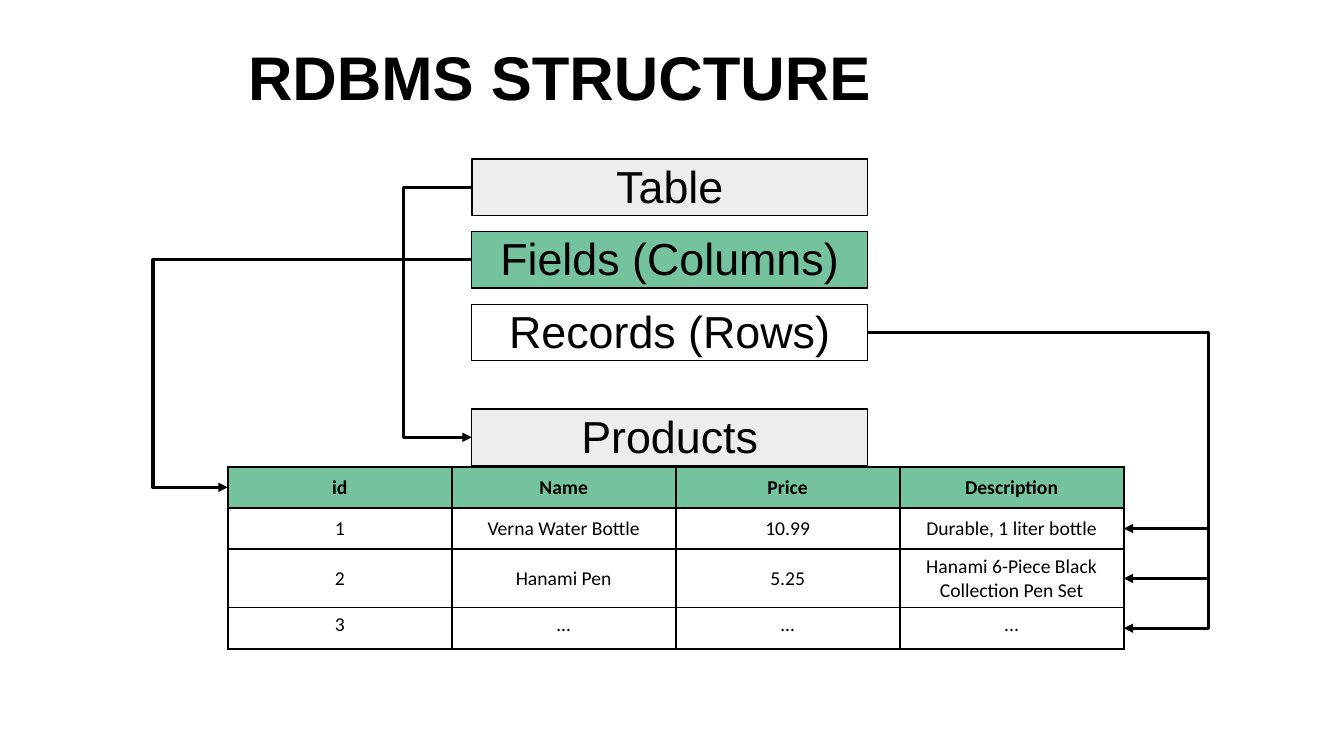
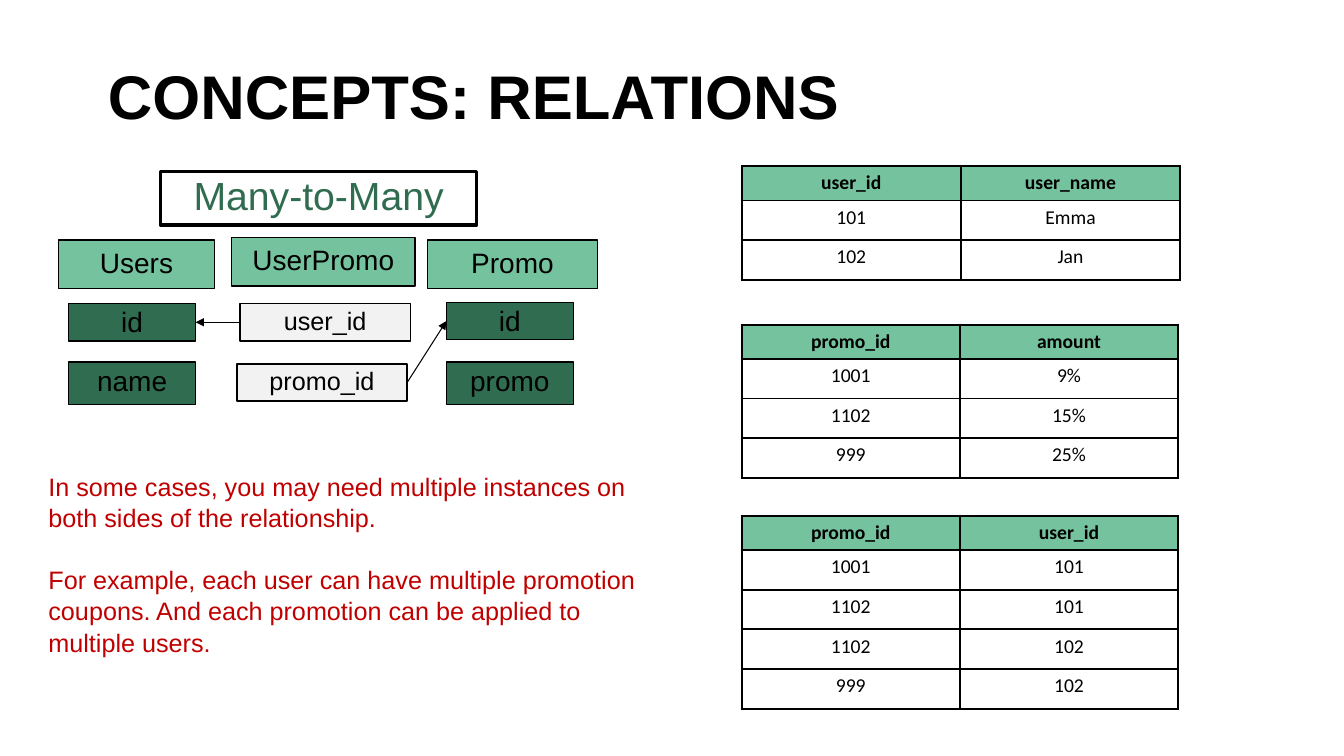
from collections import namedtuple
from dataclasses import dataclass

from lxml import etree
from pptx import Presentation
from pptx import util as u
from pptx.dml.color import RGBColor
from pptx.enum import shapes, text
from pptx.oxml.ns import qn


@dataclass(frozen=True)
class Theme:
    black: str = "000000"
    white: str = "FFFFFF"
    grey: str = "EDEDED"
    pale: str = "F2F2F2"
    mint: str = "75C29E"
    forest: str = "306C50"
    red: str = "C00000"
    font: str = "Arial"
    table_font: str = "Calibri"
    title: int = 44
    legend: int = 32
    banner: int = 28
    entity: int = 20
    note: int = 18
    cell: int = 14
    thin: float = 0.75
    outline: float = 1
    border: float = 1.5
    thick: float = 2.25
    inset: float = 0.13


THEME = Theme()
TOP, MIDDLE = text.MSO_ANCHOR.TOP, text.MSO_ANCHOR.MIDDLE
LEFT, CENTER = text.PP_ALIGN.LEFT, text.PP_ALIGN.CENTER


class Box(namedtuple("Box", "left top width height")):
    """A rectangle in centimetres."""

    @property
    def right(self):
        return self.left + self.width

    @property
    def middle(self):
        return self.top + self.height / 2

    def lengths(self):
        return [u.Cm(value) for value in self]


# ---- Shared helpers ----
def apply(target, values):
    for name, value in values.items():
        setattr(target, name, value)


def place(shape, box):
    apply(shape, dict(zip(("left", "top", "width", "height"), box.lengths())))


def write(frame, lines, size, color=THEME.black, bold=False, font=THEME.font,
          align=CENTER, spacing=0.9, gap=0):
    for index, line in enumerate(lines):
        para = frame.paragraphs[0] if index == 0 else frame.add_paragraph()
        props = para._p.get_or_add_pPr()
        apply_xml = {"marL": "0", "indent": "0"}
        for name, value in apply_xml.items():
            props.set(name, value)
        etree.SubElement(props, qn("a:buNone"))
        apply(para, {"alignment": align, "line_spacing": spacing,
                     "space_before": u.Pt(gap if index else 0),
                     "space_after": u.Pt(0)})
        span = para.add_run()
        apply(span, {"text": line})
        apply(span.font, {"name": font, "size": u.Pt(size), "bold": bold})
        span.font.color.rgb = RGBColor.from_string(color)


def format_frame(frame, anchor=TOP, inset=THEME.inset):
    apply(frame, {"word_wrap": True, "auto_size": text.MSO_AUTO_SIZE.NONE,
                  "vertical_anchor": anchor, "margin_left": u.Cm(inset),
                  "margin_right": u.Cm(inset), "margin_top": u.Cm(THEME.inset),
                  "margin_bottom": u.Cm(THEME.inset)})


def add_title(page, caption, box):
    title = page.shapes.title
    place(title, box)
    format_frame(title.text_frame, MIDDLE)
    write(title.text_frame, [caption], THEME.title, bold=True, align=LEFT)


def add_label(page, caption, box, fill, size, color=THEME.black, anchor=TOP,
              width=THEME.outline, shape=None):
    """Draw an outlined label, in a given placeholder or a new rectangle."""
    if shape is None:
        shape = page.shapes.add_shape(shapes.MSO_SHAPE.RECTANGLE, *box.lengths())
        shape.shadow.inherit = False
    else:
        place(shape, box)
    if fill:
        shape.fill.solid()
        shape.fill.fore_color.rgb = RGBColor.from_string(fill)
    else:
        shape.fill.background()
    shape.line.color.rgb = RGBColor.from_string(THEME.black)
    shape.line.width = u.Pt(width)
    format_frame(shape.text_frame, anchor)
    write(shape.text_frame, [caption], size, color)
    return box


def add_arrow(page, start, end, bend=None, width=THEME.thick):
    """Draw an arrow; bend is the x of the upright part of an elbow."""
    kind = shapes.MSO_CONNECTOR.STRAIGHT if bend is None else shapes.MSO_CONNECTOR.ELBOW
    arrow = page.shapes.add_connector(kind, *[u.Cm(v) for v in (*start, *end)])
    arrow.line.color.rgb = RGBColor.from_string(THEME.black)
    arrow.line.width = u.Pt(width)
    etree.SubElement(arrow.line._get_or_add_ln(), qn("a:tailEnd"), type="triangle")
    props = arrow._element.spPr
    etree.SubElement(props, qn("a:effectLst"))
    if bend is not None:
        share = round((bend - start[0]) / (end[0] - start[0]) * 100000)
        guides = props.find(qn("a:prstGeom")).find(qn("a:avLst"))
        etree.SubElement(guides, qn("a:gd"), name="adj1", fmla=f"val {share}")


def add_borders(cell):
    props = cell._tc.get_or_add_tcPr()
    for side in ("lnL", "lnR", "lnT", "lnB"):
        line = etree.SubElement(props, qn(f"a:{side}"), w=str(u.Pt(THEME.border)))
        fill = etree.SubElement(line, qn("a:solidFill"))
        etree.SubElement(fill, qn("a:srgbClr"), val=THEME.black)


def add_grid(page, rows, left, top, width, heights, anchors):
    """Draw a bordered table and return the box of each row."""
    columns = len(rows[0])
    whole = Box(left, top, width, sum(heights))
    table = page.shapes.add_table(len(rows), columns, *whole.lengths()).table
    table.horz_banding = False
    for column in table.columns:
        column.width = u.Cm(width / columns)
    row_boxes = []
    for index, (values, height, anchor) in enumerate(zip(rows, heights, anchors)):
        table.rows[index].height = u.Cm(height)
        for cell, value in zip(table.rows[index].cells, values):
            add_borders(cell)
            cell.fill.solid()
            cell.fill.fore_color.rgb = RGBColor.from_string(
                THEME.white if index else THEME.mint)
            cell.vertical_anchor = anchor
            write(cell.text_frame, [value], THEME.cell, bold=index == 0,
                  font=THEME.table_font, spacing=1.0)
        row_boxes.append(Box(left, top, width, height))
        top += height
    return row_boxes


# ---- Slide 1: structure ----
PRODUCTS = [
    ("id", "Name", "Price", "Description"),
    ("1", "Verna Water Bottle", "10.99", "Durable, 1 liter bottle"),
    ("2", "Hanami Pen", "5.25", "Hanami 6-Piece Black Collection Pen Set"),
    ("3", "…", "…", "..."),
]


def add_legend(page, box, pitch):
    """Stack the three terms; the first one fills the body placeholder."""
    terms = [("Table", THEME.grey), ("Fields (Columns)", THEME.mint),
             ("Records (Rows)", THEME.white)]
    holders = [page.placeholders[1], None, None]
    return [add_label(page, caption, box._replace(top=box.top + index * pitch),
                      fill, THEME.legend, shape=holder)
            for index, ((caption, fill), holder) in enumerate(zip(terms, holders))]


def build_structure(page):
    add_title(page, "RDBMS STRUCTURE", Box(6.12, 0.89, 17.48, 2.26))
    legend = Box(11.89, 4.01, 9.98, 1.42)
    table, fields, records = add_legend(page, legend, 1.83)
    name = add_label(page, "Products", legend._replace(top=10.31),
                     THEME.grey, THEME.legend)
    header, *body = add_grid(page, PRODUCTS, 5.74, 11.76, 22.58,
                             [1.04, 1.04, 1.47, 1.04],
                             [MIDDLE, MIDDLE, MIDDLE, TOP])
    # Arrows from each term to its part of the table
    add_arrow(page, (table.left + 0.04, table.middle), (name.left, name.middle), 10.16)
    add_arrow(page, (fields.left, fields.middle), (header.left, header.middle), 3.86)
    for row in body:
        add_arrow(page, (records.right, records.middle), (row.right, row.middle), 30.45)


# ---- Slide 2: relations ----
NOTE = [
    "In some cases, you may need multiple instances on both sides of the relationship.",
    "For example, each user can have multiple promotion coupons. "
    "And each promotion can be applied to multiple users.",
]
# Top of each table and its rows
DATA_TABLES = [
    (4.19, 11.05, [("user_id", "user_name"), ("101", "Emma"), ("102", "Jan")]),
    (8.18, 11, [("promo_id", "amount"), ("1001", "9%"), ("1102", "15%"),
                ("999", "25%")]),
    (13, 11, [("promo_id", "user_id"), ("1001", "101"), ("1102", "101"),
              ("1102", "102"), ("999", "102")]),
]


def add_entity(page, name, box, fields, fill, size):
    """Draw a heading with its fields, each set off from the heading's corner."""
    add_label(page, name, box, THEME.mint, THEME.entity, anchor=MIDDLE)
    return [add_label(page, caption,
                      Box(box.left + part.left, box.top + part.top,
                          part.width, part.height), fill, size)
            for caption, part in fields]


def add_diagram(page, left, top):
    add_label(page, "Many-to-Many", Box(left + 2.57, top, 7.98, 1.35), None,
              THEME.banner, THEME.forest, width=THEME.thick)
    user_id, _ = add_entity(
        page, "Users", Box(left, top + 1.73, 3.94, 1.22),
        [("id", Box(0.26, 1.6, 3.2, 0.94)), ("name", Box(0.26, 3.07, 3.2, 1.07))],
        THEME.forest, THEME.entity)
    promo_id, _ = add_entity(
        page, "Promo", Box(left + 9.3, top + 1.73, 4.29, 1.22),
        [("id", Box(0.48, 1.57, 3.2, 0.94)), ("promo", Box(0.48, 3.07, 3.2, 1.07))],
        THEME.forest, THEME.entity)
    user_key, promo_key = add_entity(
        page, "UserPromo", Box(left + 4.37, top + 1.67, 4.62, 1.22),
        [("user_id", Box(0.21, 1.66, 4.29, 0.94)),
         ("promo_id", Box(0.13, 3.18, 4.29, 0.94))],
        THEME.pale, THEME.note)
    # Links from the joining entity to both sides
    add_arrow(page, (user_key.left, user_key.middle),
              (user_id.right, user_id.middle), width=THEME.thin)
    add_arrow(page, (promo_key.right, promo_key.middle),
              (promo_id.left, promo_id.middle), width=THEME.thin)


def add_note(page, box):
    body = page.placeholders[1]
    place(body, box)
    format_frame(body.text_frame, inset=0.25)
    write(body.text_frame, NOTE, THEME.note, THEME.red, align=LEFT,
          spacing=1.04, gap=21.6)


def build_relations(page):
    add_title(page, "CONCEPTS: RELATIONS", Box(2.59, 1.37, 20.5, 2.26))
    add_diagram(page, 1.47, 4.32)
    add_note(page, Box(0.97, 11.71, 15.95, 4.88))
    for top, width, rows in DATA_TABLES:
        add_grid(page, rows, 18.69, top, width,
                 [0.86] + [1] * (len(rows) - 1), [TOP] * len(rows))


def main():
    deck = Presentation()
    apply(deck, {"slide_width": u.Cm(33.87), "slide_height": u.Cm(19.05)})
    for build in (build_structure, build_relations):
        build(deck.slides.add_slide(deck.slide_layouts[1]))
    deck.save("out.pptx")


if __name__ == "__main__":
    main()
